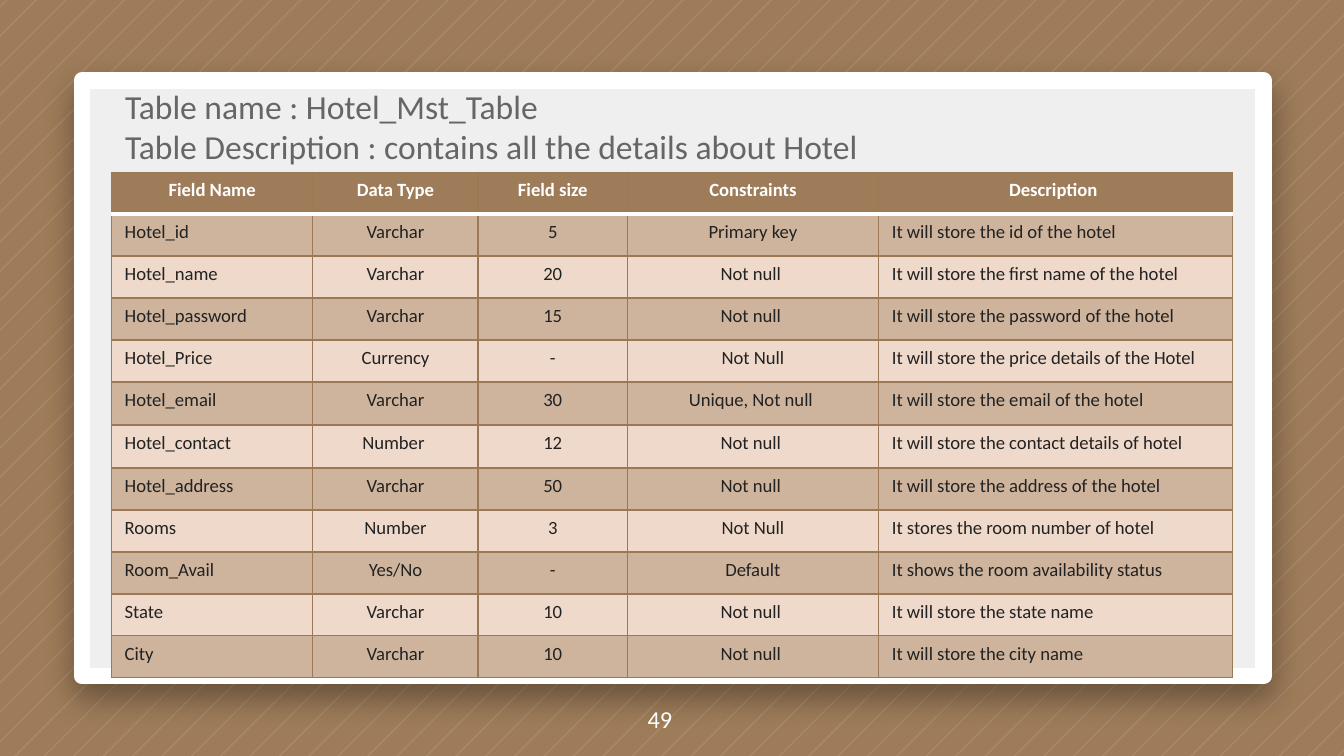
import pptx
import pptx.dml.color
import pptx.enum.shapes
import pptx.enum.text
import pptx.util
from pptx.oxml import parse_xml
from pptx.oxml.ns import nsdecls, qn

Pt = pptx.util.Pt
ALIGN = pptx.enum.text.PP_ALIGN
ANCHOR = pptx.enum.text.MSO_ANCHOR

WIDTH, HEIGHT = 720, 405
BROWN, WHITE, BORDER = "9E7C59", "FFFFFF", "9C7955"
BANDS = ["CEB49D", "EED9CA"]
COLUMN_WIDTHS = [108, 88.5, 80, 134.5, 189.5]
ROW_HEIGHTS = [22.5] * 5 + [23.1] * 2 + [22.5] * 5
ALIGNMENTS = [ALIGN.LEFT, ALIGN.CENTER, ALIGN.CENTER, ALIGN.CENTER, ALIGN.LEFT]
FIELDS = [
    ("Field Name", "Data Type", "Field size", "Constraints", "Description "),
    ("Hotel_id", "Varchar", "5", "Primary key", "It will store the id of the hotel"),
    ("Hotel_name", "Varchar", "20", "Not null ", "It will store the first name of the hotel"),
    ("Hotel_password", "Varchar", "15", "Not null ", "It will store the password of the hotel"),
    ("Hotel_Price", "Currency", "-", "Not Null", "It will store the price details of the Hotel"),
    ("Hotel_email", "Varchar", "30", "Unique, Not null ", "It will store the email of the hotel"),
    ("Hotel_contact", "Number ", "12", "Not null ", "It will store the contact details of hotel"),
    ("Hotel_address", "Varchar", "50", "Not null ", "It will store the address of the hotel"),
    ("Rooms", "Number", "3", "Not Null", "It stores the room number of hotel"),
    ("Room_Avail", "Yes/No", "-", "Default", "It shows the room availability status"),
    ("State", "Varchar", "10", "Not null ", "It will store the state name"),
    ("City", "Varchar", "10", "Not null ", "It will store the city name"),
]


def paint(color_owner, color):
    color_owner.solid()
    color_owner.fore_color.rgb = pptx.dml.color.RGBColor.from_string(color)


def write(frame, text, size=10, color="222222", bold=False, align=ALIGN.LEFT):
    frame.text = text
    for paragraph in frame.paragraphs:
        paragraph.alignment = align
        for run in paragraph.runs:
            run.font.name = "Calibri"
            run.font.size = Pt(size)
            run.font.bold = bold
            paint(run.font.fill, color)


def set_frame(frame, anchor):
    frame.word_wrap = True
    frame.auto_size = pptx.enum.text.MSO_AUTO_SIZE.NONE
    frame.vertical_anchor = anchor
    frame.margin_left = frame.margin_right = Pt(7.2)
    frame.margin_top = frame.margin_bottom = Pt(7.2)


def add_stripes(slide, first=3.15, gap=15.75, thickness=1):
    def ends(offset):
        top = Pt(min(offset, WIDTH)), Pt(max(0, offset - WIDTH))
        bottom = Pt(max(0, offset - HEIGHT)), Pt(min(offset, HEIGHT))
        return top, bottom

    builder = None
    for index in range(72):
        offset = first + gap * index
        top, bottom = ends(offset)
        next_top, next_bottom = ends(offset + thickness)
        if builder is None:
            builder = slide.shapes.build_freeform(*top)
        else:
            builder.move_to(*top)
        builder.add_line_segments([bottom, next_bottom, next_top], close=True)
    stripes = builder.convert_to_shape()
    stripes.shadow.inherit = False
    stripes.line.fill.background()
    paint(stripes.fill, WHITE)
    white = stripes._element.spPr.find(qn("a:solidFill"))[0]
    white.append(parse_xml(f'<a:alpha {nsdecls("a")} val="10000"/>'))


def add_panel(slide):
    panel = slide.shapes.add_shape(
        pptx.enum.shapes.MSO_SHAPE.RECTANGLE, Pt(43.9), Pt(43.2), Pt(632.9), Pt(319)
    )
    paint(panel.fill, "EFEFEF")
    paint(panel.line.fill, WHITE)
    panel.line.width = Pt(9)
    panel.shadow.inherit = False
    panel._element.spPr.find(qn("a:effectLst")).append(parse_xml(
        f'<a:outerShdw {nsdecls("a")} blurRad="{Pt(16.9)}" dist="{Pt(7.5)}" dir="5400000" '
        'algn="t" rotWithShape="0"><a:srgbClr val="000000"><a:alpha val="35000"/>'
        '</a:srgbClr></a:outerShdw>'
    ))


def place_title(slide, text):
    title = slide.shapes.title
    title.left, title.top, title.width, title.height = Pt(59.8), Pt(51.8), Pt(578.2), Pt(44.6)
    set_frame(title.text_frame, ANCHOR.BOTTOM)
    write(title.text_frame, text, size=18, color="666666")
    slide.shapes._spTree.append(title._element)


def add_page_number(slide, number):
    box = slide.shapes.add_textbox(Pt(-6.5), Pt(365.8), Pt(WIDTH), Pt(38.9))
    set_frame(box.text_frame, ANCHOR.MIDDLE)
    write(box.text_frame, number, size=13, color=WHITE, align=ALIGN.CENTER)


def set_border(cell, side, color, width):
    cell._tc.get_or_add_tcPr().append(parse_xml(
        f'<a:ln{side} {nsdecls("a")} w="{Pt(width)}"><a:solidFill>'
        f'<a:srgbClr val="{color}"/></a:solidFill></a:ln{side}>'
    ))


def add_field_table(slide):
    table = slide.shapes.add_table(
        len(FIELDS), len(COLUMN_WIDTHS), Pt(59.6), Pt(92.2),
        Pt(sum(COLUMN_WIDTHS)), Pt(sum(ROW_HEIGHTS))
    ).table
    table.horz_banding = False
    for column, width in zip(table.columns, COLUMN_WIDTHS):
        column.width = Pt(width)
    for row, (height, field) in enumerate(zip(ROW_HEIGHTS, FIELDS)):
        table.rows[row].height = Pt(height)
        header = row == 0
        for column, text in enumerate(field):
            cell = table.cell(row, column)
            for side in "LRTB":
                under_header = (row, side) in [(0, "B"), (1, "T")]
                set_border(cell, side, *((WHITE, 2) if under_header else (BORDER, 0.75)))
            paint(cell.fill, BROWN if header else BANDS[(row - 1) % 2])
            write(
                cell.text_frame, text, bold=header,
                color=WHITE if header else "222222",
                align=ALIGN.CENTER if header else ALIGNMENTS[column],
            )


def main():
    presentation = pptx.Presentation()
    presentation.slide_width, presentation.slide_height = Pt(WIDTH), Pt(HEIGHT)
    slide = presentation.slides.add_slide(presentation.slide_layouts[5])
    paint(slide.background.fill, BROWN)
    add_stripes(slide)
    add_panel(slide)
    place_title(
        slide,
        "Table name : Hotel_Mst_Table\n"
        "Table Description : contains all the details about Hotel",
    )
    add_page_number(slide, "49")
    add_field_table(slide)
    presentation.save("out.pptx")


if __name__ == "__main__":
    main()
